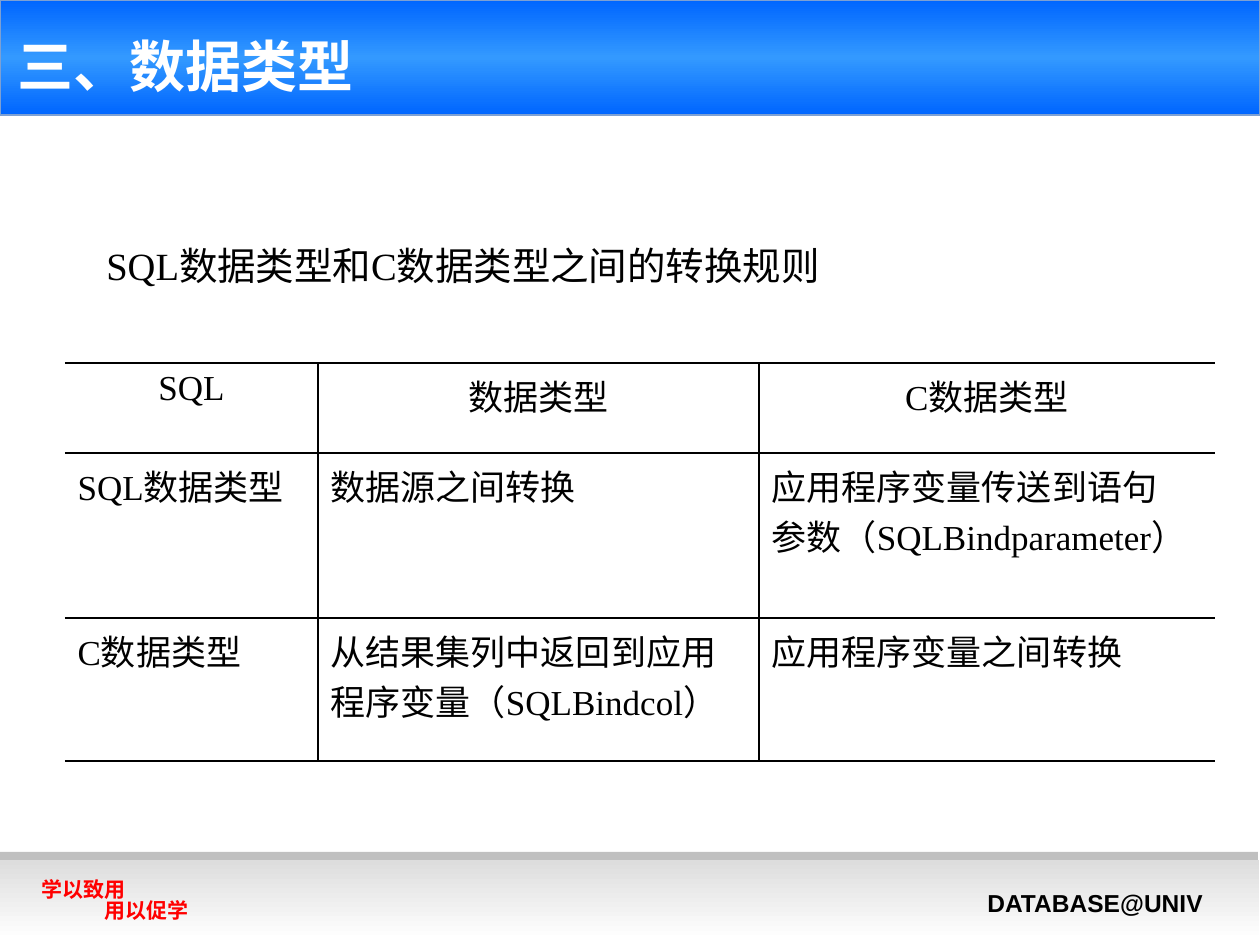
import dataclasses
import typing

import lxml.etree
import pptx
import pptx.dml.color
import pptx.enum.shapes
import pptx.enum.text
import pptx.oxml.ns
import pptx.util

PIXEL = pptx.util.Inches(1) / 126
ALIGN = pptx.enum.text.PP_ALIGN
BLACK = "000000"
SERIF = "Times New Roman"
qn = pptx.oxml.ns.qn


@dataclasses.dataclass
class Band:
    left: int
    top: int
    width: int
    height: int
    colors: tuple[str, ...]
    outline: typing.Optional[str] = None


@dataclasses.dataclass
class Style:
    size: int
    color: str = BLACK
    font: str = "Arial"
    bold: bool = False
    align: typing.Any = ALIGN.LEFT
    spacing: typing.Optional[float] = None


@dataclasses.dataclass
class Label:
    left: int
    top: int
    width: int
    height: int
    lines: tuple[str, ...]
    style: Style


def px(length: int) -> pptx.util.Emu:
    return pptx.util.Emu(round(length * PIXEL))


def rgb(color: str) -> pptx.dml.color.RGBColor:
    return pptx.dml.color.RGBColor.from_string(color)


def place(item: typing.Any) -> tuple:
    return px(item.left), px(item.top), px(item.width), px(item.height)


def write(frame: typing.Any, lines: tuple[str, ...], style: Style) -> None:
    for index, line in enumerate(lines):
        para = frame.add_paragraph() if index else frame.paragraphs[0]
        para.alignment = style.align
        if style.spacing:
            para.line_spacing = style.spacing
        span = para.add_run()
        span.text = line
        span.font.size = pptx.util.Pt(style.size)
        span.font.name = style.font
        span.font.bold = style.bold
        span.font.color.rgb = rgb(style.color)


def add_band(page: typing.Any, band: Band) -> None:
    shape = page.shapes.add_shape(pptx.enum.shapes.MSO_SHAPE.RECTANGLE, *place(band))
    shape.shadow.inherit = False
    if len(band.colors) == 1:
        shape.fill.solid()
        shape.fill.fore_color.rgb = rgb(band.colors[0])
    else:
        shape.fill.gradient()
        shape.fill.gradient_angle = 270
        stops = next(shape._element.iter(qn("a:gsLst")))
        for stop in list(stops):
            stops.remove(stop)
        for index, color in enumerate(band.colors):
            position = 100000 * index // (len(band.colors) - 1)
            stop = lxml.etree.SubElement(stops, qn("a:gs"), pos=str(position))
            lxml.etree.SubElement(stop, qn("a:srgbClr"), val=color)
    if band.outline:
        shape.line.color.rgb = rgb(band.outline)
        shape.line.width = pptx.util.Pt(0.75)
    else:
        shape.line.fill.background()


def add_label(page: typing.Any, label: Label) -> typing.Any:
    box = page.shapes.add_textbox(*place(label))
    box.text_frame.word_wrap = True
    write(box.text_frame, label.lines, label.style)
    return box


def set_borders(cell: typing.Any, sides: str) -> None:
    properties = cell._tc.get_or_add_tcPr()
    for index, side in enumerate("LRTB"):
        shown = side in sides
        line = lxml.etree.Element(qn("a:ln" + side), w=str(pptx.util.Pt(1) if shown else 0))
        if shown:
            fill = lxml.etree.SubElement(line, qn("a:solidFill"))
            lxml.etree.SubElement(fill, qn("a:srgbClr"), val=BLACK)
        else:
            lxml.etree.SubElement(line, qn("a:noFill"))
        properties.insert(index, line)


def add_rules_table(page: typing.Any) -> None:
    columns = (253, 441, 456)
    heights = (90, 143, 143)
    borders = ("RTB", "LRTB", "LTB")
    rows = (
        (("SQL",), ("数据类型",), ("C数据类型",)),
        (("SQL数据类型",), ("数据源之间转换",),
         ("应用程序变量传送到语句", "参数（SQLBindparameter）")),
        (("C数据类型",), ("从结果集列中返回到应用", "程序变量（SQLBindcol）"),
         ("应用程序变量之间转换",)),
    )
    table = page.shapes.add_table(
        len(rows), len(columns), px(65), px(363), px(sum(columns)), px(sum(heights))
    ).table
    table.first_row = False
    table.horz_banding = False
    for column, width in zip(table.columns, columns):
        column.width = px(width)
    for index, (row, height) in enumerate(zip(table.rows, heights)):
        row.height = px(height)
        align = ALIGN.LEFT if index else ALIGN.CENTER
        for cell, lines, sides in zip(row.cells, rows[index], borders):
            cell.fill.background()
            set_borders(cell, sides)
            write(cell.text_frame, lines, Style(20, font=SERIF, align=align))


BANDS = (
    Band(0, 0, 1260, 115, ("0066FF", "3399FF", "0066FF"), "7DA0D3"),
    Band(-1, 852, 1259, 36, ("C0C0C0",)),
    Band(0, 860, 1259, 80, ("DDDDDD", "FFFFFF")),
)
FOOTERS = (
    Label(29, 875, 252, 63, ("学以致用", "\t用以促学"),
          Style(12, "FF0000", bold=True, spacing=0.83)),
    Label(975, 882, 263, 42, ("DATABASE@UNIV",), Style(14, bold=True)),
)
CAPTION = Label(93, 244, 740, 59, ("SQL数据类型和C数据类型之间的转换规则",),
                Style(22, font=SERIF, align=ALIGN.CENTER, spacing=0.83))

deck = pptx.Presentation()
deck.slide_width = px(1260)
deck.slide_height = px(945)
page = deck.slides.add_slide(deck.slide_layouts[5])

for band in BANDS:
    add_band(page, band)
for footer in FOOTERS:
    add_label(page, footer)

title = page.shapes.title
title.left, title.top, title.width, title.height = px(5), px(26), px(1018), px(78)
title.text_frame.vertical_anchor = pptx.enum.text.MSO_ANCHOR.MIDDLE
write(title.text_frame, ("三、数据类型",), Style(32, "FFFFFF", bold=True))
page.shapes._spTree.append(title._element)

add_rules_table(page)
caption = add_label(page, CAPTION)
indent = caption.text_frame.paragraphs[0]._p.get_or_add_pPr()
indent.set("marL", str(px(48)))
indent.set("indent", str(-px(48)))

deck.save("out.pptx")
